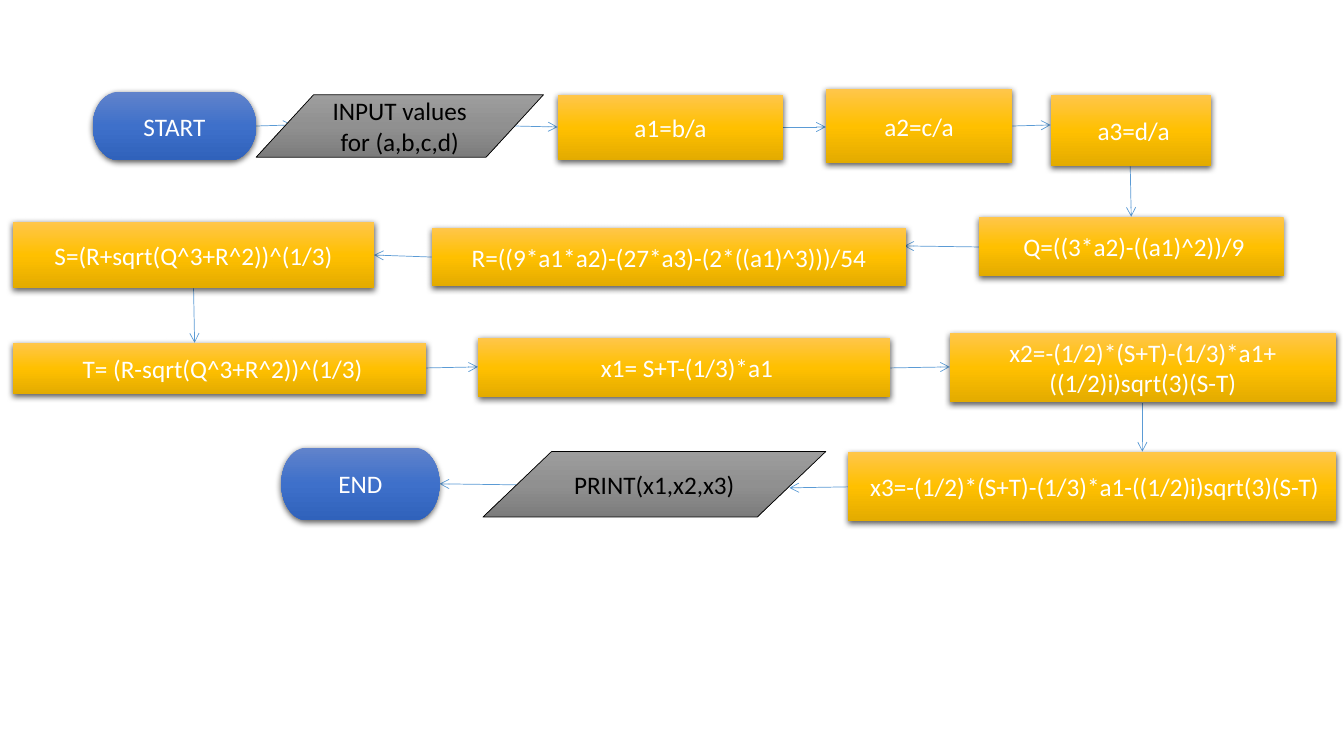
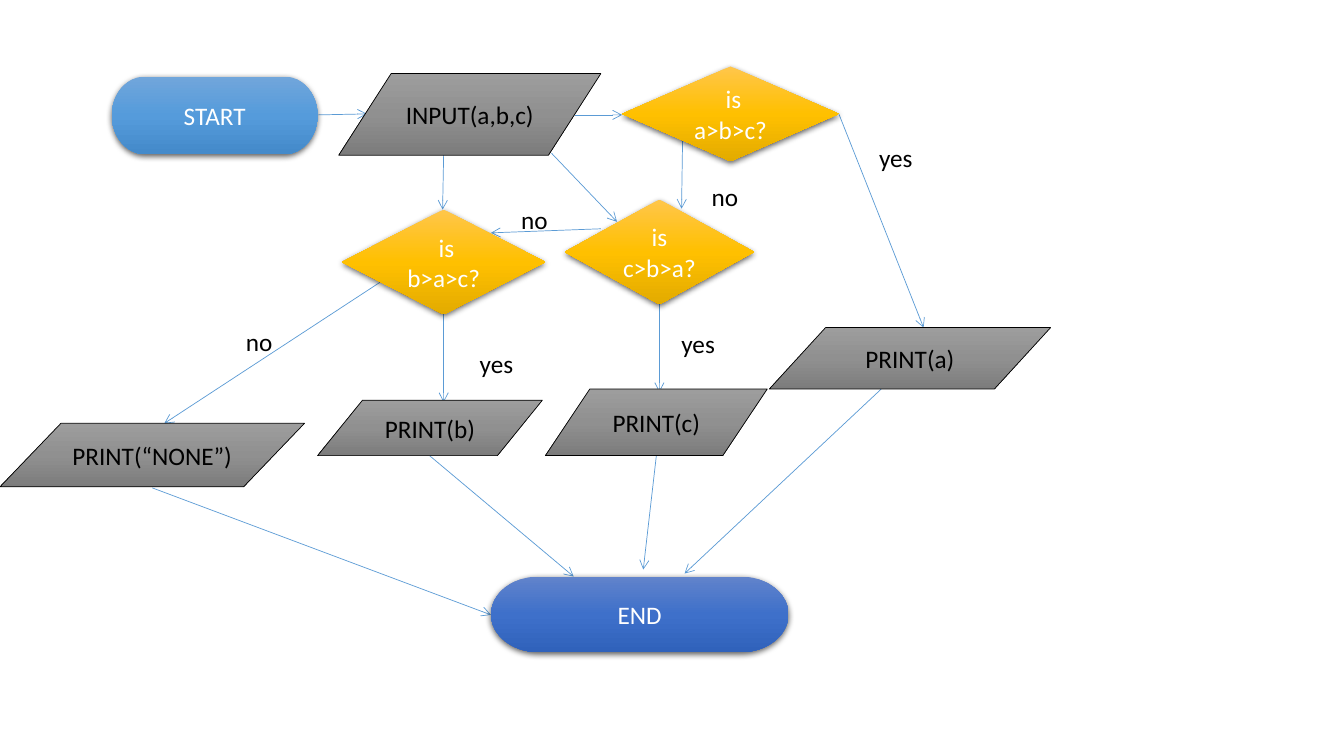
from collections import namedtuple
from copy import deepcopy

from lxml import etree
from pptx import Presentation
from pptx.dml.color import RGBColor
from pptx.enum.shapes import MSO_CONNECTOR, MSO_SHAPE
from pptx.enum.text import MSO_ANCHOR, MSO_AUTO_SIZE, PP_ALIGN
from pptx.oxml.ns import qn
from pptx.util import Inches, Pt

STRAIGHT = MSO_CONNECTOR.STRAIGHT
TERMINATOR = MSO_SHAPE.FLOWCHART_TERMINATOR
DATA = MSO_SHAPE.FLOWCHART_DATA
PROCESS = MSO_SHAPE.FLOWCHART_PROCESS
DECISION = MSO_SHAPE.FLOWCHART_DECISION
CENTER = PP_ALIGN.CENTER
MIDDLE = MSO_ANCHOR.MIDDLE
GROW = MSO_AUTO_SIZE.SHAPE_TO_FIT_TEXT

WHITE = RGBColor(0xFF, 0xFF, 0xFF)
BLACK = RGBColor(0x00, 0x00, 0x00)
ARROW_BLUE = RGBColor(0x5B, 0x9B, 0xD5)
BLUE = (RGBColor(0x61, 0x83, 0xCB), RGBColor(0x3E, 0x70, 0xCA), RGBColor(0x30, 0x62, 0xBB))
SKY = (RGBColor(0x71, 0xA6, 0xDB), RGBColor(0x55, 0x9B, 0xDB), RGBColor(0x44, 0x8A, 0xCA))
GRAY = (RGBColor(0x9D, 0x9D, 0x9D), RGBColor(0x90, 0x90, 0x90), RGBColor(0x7C, 0x7C, 0x7C))
GOLD = (RGBColor(0xFF, 0xC6, 0x4B), RGBColor(0xFF, 0xC0, 0x00), RGBColor(0xE3, 0xAB, 0x00))

FONT = "Calibri"
TEXT_SIZE = Pt(18)
LINE_WIDTH = Pt(0.5)
BLANK_LAYOUT = 6

Kind = namedtuple("Kind", "outline shades text_color raised")
END_POINT = Kind(TERMINATOR, BLUE, WHITE, True)
SKY_START = Kind(TERMINATOR, SKY, WHITE, True)
IN_OUT = Kind(DATA, GRAY, BLACK, False)
STEP = Kind(PROCESS, GOLD, WHITE, True)
QUESTION = Kind(DECISION, GOLD, WHITE, True)

CUBIC_NODES = [
    (END_POINT, "START", 0.92, 0.91, 1.62, 0.68),
    (IN_OUT, "INPUT values for (a,b,c,d)", 2.54, 0.94, 2.85, 0.62),
    (STEP, "a1=b/a", 5.53, 0.94, 2.24, 0.65),
    (STEP, "a2=c/a", 8.19, 0.88, 1.85, 0.74),
    (STEP, " a3=d/a", 10.42, 0.94, 1.59, 0.71),
    (STEP, " Q=((3*a2)-((a1)^2))/9", 9.71, 2.15, 3.02, 0.59),
    (STEP, "R=((9*a1*a2)-(27*a3)-(2*((a1)^3)))/54", 4.28, 2.26, 4.71, 0.58),
    (STEP, "S=(R+sqrt(Q^3+R^2))^(1/3)", 0.13, 2.2, 3.58, 0.66),
    (STEP, " T= (R-sqrt(Q^3+R^2))^(1/3)", 0.13, 3.4, 4.1, 0.51),
    (STEP, " x1= S+T-(1/3)*a1", 4.74, 3.35, 4.09, 0.59),
    (STEP, "x2=-(1/2)*(S+T)-(1/3)*a1+((1/2)i)sqrt(3)(S-T)", 9.42, 3.3, 3.83, 0.69),
    (STEP, " x3=-(1/2)*(S+T)-(1/3)*a1-((1/2)i)sqrt(3)(S-T)", 8.41, 4.48, 4.84, 0.69),
    (IN_OUT, "PRINT(x1,x2,x3)", 4.79, 4.48, 3.4, 0.65),
    (END_POINT, "END", 2.79, 4.44, 1.57, 0.72),
]
CUBIC_ARROWS = [
    (2.54, 1.25, 2.9, 1.24),
    (5.1, 1.25, 5.53, 1.26),
    (7.77, 1.26, 8.19, 1.26),
    (10.04, 1.25, 10.42, 1.24),
    (11.21, 1.65, 11.22, 2.15),
    (9.71, 2.45, 8.97, 2.44),
    (4.28, 2.55, 3.71, 2.53),
    (1.92, 2.86, 1.93, 3.4),
    (4.23, 3.65, 4.74, 3.64),
    (8.83, 3.65, 9.42, 3.64),
    (11.33, 4, 11.33, 4.48),
    (8.41, 4.83, 7.83, 4.84),
    (5.13, 4.81, 4.36, 4.8),
]

COMPARE_NODES = [
    (SKY_START, "START", 1.11, 0.76, 2.04, 0.77),
    (IN_OUT, "INPUT(a,b,c)", 3.36, 0.73, 2.6, 0.81),
    (QUESTION, " is a>b>c?", 6.17, 0.66, 2.15, 0.94),
    (QUESTION, "is c>b>a?", 5.6, 1.98, 1.88, 1.04),
    (QUESTION, " is b>a>c?", 3.39, 2.08, 2.02, 1.04),
    (IN_OUT, "PRINT(a)", 7.63, 3.25, 2.79, 0.61),
    (IN_OUT, "PRINT(c)", 5.41, 3.86, 2.2, 0.66),
    (IN_OUT, "PRINT(b)", 3.15, 3.97, 2.23, 0.55),
    (IN_OUT, "PRINT(“NONE”)", 0, 4.2, 3.02, 0.63),
    (END_POINT, "END", 4.87, 5.72, 2.95, 0.75),
]
COMPARE_ARROWS = [
    (3.15, 1.14, 3.64, 1.13),
    (5.7, 1.14, 6.17, 1.14),
    (4.4, 1.54, 4.39, 2.08),
    (5.47, 1.52, 6.12, 2.2),
    (8.32, 1.13, 9.16, 3.25),
    (6.77, 1.4, 6.76, 2.07),
    (5.96, 2.27, 4.87, 2.31),
    (6.54, 3.02, 6.54, 3.89),
    (4.4, 3.12, 4.4, 3.99),
    (3.77, 2.8, 1.63, 4.2),
    (4.26, 4.52, 5.69, 5.72),
    (6.51, 4.52, 6.38, 5.65),
    (8.74, 3.86, 6.79, 5.69),
    (1.51, 4.84, 4.87, 6.1),
]
COMPARE_ANSWERS = [
    ("yes", 8.62, 1.36, 0.81),
    ("no", 6.96, 1.75, 0.66),
    ("no", 5.07, 1.98, 0.64),
    ("yes", 6.66, 3.21, 0.55),
    ("yes", 4.66, 3.41, 1.04),
    ("no", 2.34, 3.19, 0.55),
]
ANSWER_HEIGHT = 0.4


def add_run(paragraph, text, color):
    run = paragraph.add_run()
    run.text = text
    run.font.name = FONT
    run.font.size = TEXT_SIZE
    run.font.color.rgb = color


def fill_downwards(shape, shades):
    shape.fill.gradient()
    shape.fill.gradient_angle = 270
    stop_list = next(shape._element.spPr.iter(qn("a:gsLst")))
    stop_list.append(deepcopy(stop_list[0]))
    for stop, position, shade in zip(shape.fill.gradient_stops, (0, 0.5, 1), shades):
        stop.position = position
        stop.color.rgb = shade


def add_soft_shadow(shape):
    effects = shape._element.spPr.find(qn("a:effectLst"))
    shadow = etree.SubElement(
        effects, qn("a:outerShdw"), blurRad=str(Pt(4.5)), dist=str(Pt(1.5)),
        dir="5400000", algn="ctr", rotWithShape="0")
    shadow_color = etree.SubElement(shadow, qn("a:srgbClr"), val=str(BLACK))
    etree.SubElement(shadow_color, qn("a:alpha"), val="63000")


def add_node(slide, kind, text, left, top, width, height):
    node = slide.shapes.add_shape(
        kind.outline, Inches(left), Inches(top), Inches(width), Inches(height))
    fill_downwards(node, kind.shades)
    if kind.raised:
        node.line.fill.background()
    else:
        node.line.color.rgb = BLACK
        node.line.width = LINE_WIDTH
    node.shadow.inherit = False
    if kind.raised:
        add_soft_shadow(node)
    frame = node.text_frame
    frame.word_wrap = True
    frame.vertical_anchor = MIDDLE
    frame.paragraphs[0].alignment = CENTER
    add_run(frame.paragraphs[0], text, kind.text_color)


def add_arrow(slide, *ends):
    arrow = slide.shapes.add_connector(STRAIGHT, *map(Inches, ends))
    arrow.line.color.rgb = ARROW_BLUE
    arrow.line.width = LINE_WIDTH
    etree.SubElement(arrow.line._get_or_add_ln(), qn("a:tailEnd"), type="arrow")
    etree.SubElement(arrow._element.spPr, qn("a:effectLst"))


def add_answer(slide, text, left, top, width):
    answer = slide.shapes.add_textbox(
        Inches(left), Inches(top), Inches(width), Inches(ANSWER_HEIGHT))
    frame = answer.text_frame
    frame.word_wrap = True
    frame.auto_size = GROW
    add_run(frame.paragraphs[0], text, BLACK)


def add_flowchart(deck, nodes, arrows, answers=()):
    slide = deck.slides.add_slide(deck.slide_layouts[BLANK_LAYOUT])
    for arrow in arrows:
        add_arrow(slide, *arrow)
    for node in nodes:
        add_node(slide, *node)
    for answer in answers:
        add_answer(slide, *answer)


def main():
    deck = Presentation()
    deck.slide_width = Inches(13.33)
    deck.slide_height = Inches(7.5)
    add_flowchart(deck, CUBIC_NODES, CUBIC_ARROWS)
    add_flowchart(deck, COMPARE_NODES, COMPARE_ARROWS, COMPARE_ANSWERS)
    deck.save("out.pptx")


main()
